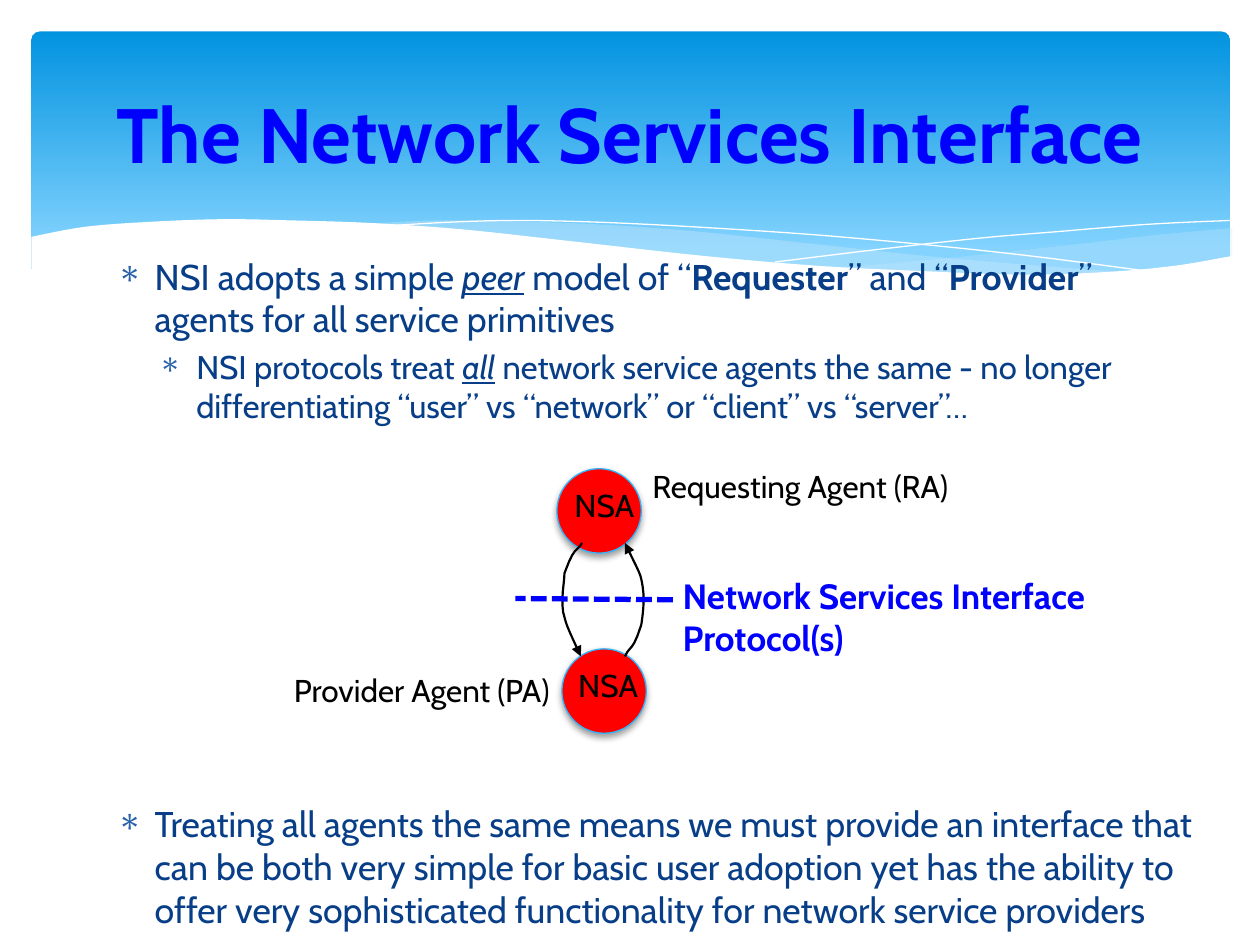
from itertools import chain
from lxml.etree import SubElement
from pptx import Presentation
from pptx.dml.color import RGBColor
from pptx.enum.dml import MSO_LINE
from pptx.enum.shapes import MSO_CONNECTOR, MSO_SHAPE
from pptx.enum.text import MSO_ANCHOR, PP_ALIGN
from pptx.oxml.ns import qn
from pptx.util import Inches, Pt

FONT = "Cabin"
BLACK, BLUE, NAVY, WHITE = "000000", "0000FF", "073E87", "FFFFFF"
PALE, BULLET = "C6E7FC", "2862AA"

BODY = [
    (0.3, 20.4, 0, [("NSI adopts a simple ", ""), ("peer", "iu"), (" model of “", ""),
                    ("Requester", "b"), ("” and “", ""), ("Provider", "b"),
                    ("” agents for all service primitives", "")]),
    (0.63, 18.7, 3.7, [("NSI protocols treat ", ""), ("all", "iu"),
                       (" network service agents the same - no longer differentiating "
                        "“user” vs “network” or “client” vs “server”…", "")]),
    (0.3, 20.4, 215.5, [("Treating all agents the same means we must provide an interface that "
                         "can be both very simple for basic user adoption yet has the ability to "
                         "offer very sophisticated functionality for network service providers", "")]),
]
TITLE = ("The Network Services Interface", (0.5, 0.37, 9, 1.37), 44, BLUE, True, PP_ALIGN.CENTER)
LABELS = [
    ("Requesting Agent (RA)", (5.08, 3.66, 2.66, 0.4), 18, BLACK, False, PP_ALIGN.LEFT),
    ("Provider Agent (PA)", (1.64, 5.28, 2.82, 0.4), 18, BLACK, False, PP_ALIGN.RIGHT),
    ("Network Services Interface\nProtocol(s)", (5.32, 4.51, 3.47, 0.77), 20, BLUE, True, PP_ALIGN.LEFT),
    ("NSA", (4.49, 5.24, 0.72, 0.4), 18, BLACK, False, PP_ALIGN.LEFT),
    ("NSA", (4.46, 3.81, 0.72, 0.4), 18, BLACK, False, PP_ALIGN.LEFT),
]
AGENTS = [(4.46, 5.15), (4.42, 3.72)]
AGENT_SIZE = 0.67

TINTED_WAVES = [
    (29, [[(9.78, 1.81), (9.22, 1.86), (8.62, 1.93), (7.8, 2.02), (7.07, 2.09), (6.63, 2.12)],
          [(6.63, 2.12), (7.2, 2.16), (7.83, 2.18), (8.46, 2.18), (9.07, 2.14), (9.51, 2.08), (9.78, 2.04)]]),
    (40, [[(8.94, 2.16), (8.39, 2.12), (7.43, 2.04), (6.31, 1.92), (5.56, 1.84), (4.9, 1.79),
           (4.22, 1.76), (3.46, 1.75), (2.88, 1.78)],
          [(2.88, 1.78), (3.64, 1.83), (4.51, 1.92), (5.31, 2.01), (6.03, 2.08), (6.82, 2.14),
           (7.62, 2.18), (8.3, 2.18), (8.94, 2.16)]]),
]
WAVE_LINES = [
    [(3.11, 1.79), (3.65, 1.76), (4.18, 1.75), (4.91, 1.77), (5.83, 1.82), (6.67, 1.88),
     (7.62, 1.97), (8.33, 2.05), (9.09, 2.15)],
    [(6.15, 2.08), (6.97, 1.98), (7.78, 1.89), (8.38, 1.84), (9.12, 1.78), (9.77, 1.75)],
]
WHITE_WAVE = [
    [(9.79, 2.03), (9.32, 2.11), (8.77, 2.16), (8.1, 2.18), (7.28, 2.15), (6.49, 2.11), (5.57, 2.03),
     (4.49, 1.91), (3.66, 1.82), (2.94, 1.77), (2.32, 1.75), (1.78, 1.74), (1.21, 1.76),
     (0.68, 1.8), (0.25, 1.88)],
    [(0.25, 2.42), (9.79, 2.42)],
]
MESSAGE_ARROWS = [
    [[(4.96, 5.21), (5, 5.12), (5.02, 5.18), (5.09, 4.96)],
     [(5.09, 4.96), (5.1, 4.89), (5.12, 4.76), (5.1, 4.65)],
     [(5.1, 4.65), (5.08, 4.54), (5.09, 4.58), (4.96, 4.31)]],
    [[(4.62, 4.31), (4.57, 4.39), (4.56, 4.33), (4.48, 4.55)],
     [(4.48, 4.55), (4.48, 4.62), (4.45, 4.75), (4.47, 4.86)],
     [(4.47, 4.86), (4.5, 4.97), (4.48, 4.93), (4.61, 5.21)]],
]


def rgb(color):
    return RGBColor.from_string(color)


def bezier(controls, steps=6):
    def point(t):
        weights = ((1 - t) ** 3, 3 * t * (1 - t) ** 2, 3 * t * t * (1 - t), t ** 3)
        return tuple(sum(w * c[axis] for w, c in zip(weights, controls)) for axis in (0, 1))
    return [point(step / steps) for step in range(steps + 1)]


def smooth(knots):
    padded = [knots[0], *knots, knots[-1]]
    curve = []
    for before, start, end, after in zip(padded, padded[1:], padded[2:], padded[3:]):
        leave = tuple(s + (e - b) / 6 for b, s, e in zip(before, start, end))
        arrive = tuple(e - (a - s) / 6 for s, e, a in zip(start, end, after))
        curve += bezier((start, leave, arrive, end))
    return curve


def outline(slide, points, fill=None, line=None, width=0, closed=False):
    corners = [(Inches(x), Inches(y)) for x, y in points]
    builder = slide.shapes.build_freeform(*corners[0], scale=1.0)
    builder.add_line_segments(corners[1:], close=closed)
    return paint(builder.convert_to_shape(), fill, line, width)


def paint(shape, fill=None, line=None, width=0):
    shape.shadow.inherit = False
    if fill:
        shape.fill.solid()
        shape.fill.fore_color.rgb = rgb(fill)
    else:
        shape.fill.background()
    if line:
        shape.line.color.rgb = rgb(line)
        shape.line.width = Pt(width)
    else:
        shape.line.fill.background()
    return shape


def add_alpha(color_parent, percent):
    SubElement(color_parent.find(".//" + qn("a:srgbClr")), qn("a:alpha"), val=str(percent * 1000))


def style(paragraph, size, color, bold=None):
    font = paragraph.font
    font.name, font.size, font.bold = FONT, Pt(size), bold
    font.color.rgb = rgb(color)


def text_frame(slide, place):
    frame = slide.shapes.add_textbox(*map(Inches, place)).text_frame
    frame.word_wrap = True
    return frame


def add_label(slide, text, place, size, color, bold, align):
    frame = text_frame(slide, place)
    frame.text = text
    for paragraph in frame.paragraphs:
        paragraph.alignment = align
        style(paragraph, size, color, bold)
    return frame


def add_banner(slide):
    banner = paint(slide.shapes.add_shape(MSO_SHAPE.ROUNDED_RECTANGLE, *map(Inches, (0.25, 0.25, 9.51, 1.93))))
    banner.adjustments[0] = 0.034
    banner.fill.gradient()
    banner.fill.gradient_angle = 270
    for stop, (position, color) in zip(banner.fill.gradient_stops, [(0, "0293E0"), (0.9, "83D3FE")]):
        stop.position = position
        stop.color.rgb = rgb(color)
    for opacity, edges in TINTED_WAVES:
        wave = outline(slide, chain.from_iterable(map(smooth, edges)), fill=PALE, closed=True)
        add_alpha(wave.fill._xPr.find(qn("a:solidFill")), opacity)
    for knots in WAVE_LINES:
        outline(slide, smooth(knots), line=WHITE)
    outline(slide, chain.from_iterable(map(smooth, WHITE_WAVE)), fill=WHITE, closed=True)


def add_body(slide):
    frame = text_frame(slide, (0.83, 1.97, 8.77, 5.23))
    for index, (indent, size, gap, runs) in enumerate(BODY):
        paragraph = frame.add_paragraph() if index else frame.paragraphs[0]
        properties = paragraph._p.get_or_add_pPr()
        properties.set("marL", str(Inches(indent)))
        properties.set("indent", str(Inches(-0.3)))
        SubElement(SubElement(properties, qn("a:buClr")), qn("a:srgbClr"), val=BULLET)
        SubElement(properties, qn("a:buChar"), char="∗")
        if gap:
            paragraph.space_before = Pt(gap)
        style(paragraph, size, NAVY)
        for words, marks in runs:
            run = paragraph.add_run()
            run.text = words
            if "b" in marks:
                run.font.bold = True
            if "i" in marks:
                run.font.italic = run.font.underline = True


def add_diagram(slide):
    for left, top in AGENTS:
        agent = slide.shapes.add_shape(MSO_SHAPE.OVAL, *map(Inches, (left, top, AGENT_SIZE, AGENT_SIZE)))
        paint(agent, "FF0000", "31B6FD", 0.75)
        shadow = SubElement(agent._element.spPr.find(qn("a:effectLst")), qn("a:outerShdw"),
                            blurRad=str(Pt(4)), dist=str(Pt(2)), dir="5400000", rotWithShape="0")
        SubElement(shadow, qn("a:srgbClr"), val=BLACK)
        add_alpha(shadow, 38)
    for curves in MESSAGE_ARROWS:
        arrow = outline(slide, chain.from_iterable(map(bezier, curves)), line=BLACK, width=1.25)
        SubElement(arrow.line._get_or_add_ln(), qn("a:tailEnd"), type="triangle")
    boundary = slide.shapes.add_connector(MSO_CONNECTOR.STRAIGHT, *map(Inches, (5.34, 4.76, 4.09, 4.75)))
    boundary.line.color.rgb = rgb(BLUE)
    boundary.line.width = Pt(3)
    boundary.line.dash_style = MSO_LINE.SQUARE_DOT
    SubElement(boundary._element.spPr, qn("a:effectLst"))
    for label in LABELS:
        add_label(slide, *label)


def main():
    deck = Presentation()
    deck.slide_width, deck.slide_height = Inches(10), Inches(7.5)
    slide = deck.slides.add_slide(deck.slide_layouts[6])
    add_banner(slide)
    add_body(slide)
    add_label(slide, *TITLE).vertical_anchor = MSO_ANCHOR.MIDDLE
    add_diagram(slide)
    deck.save("out.pptx")


if __name__ == "__main__":
    main()
